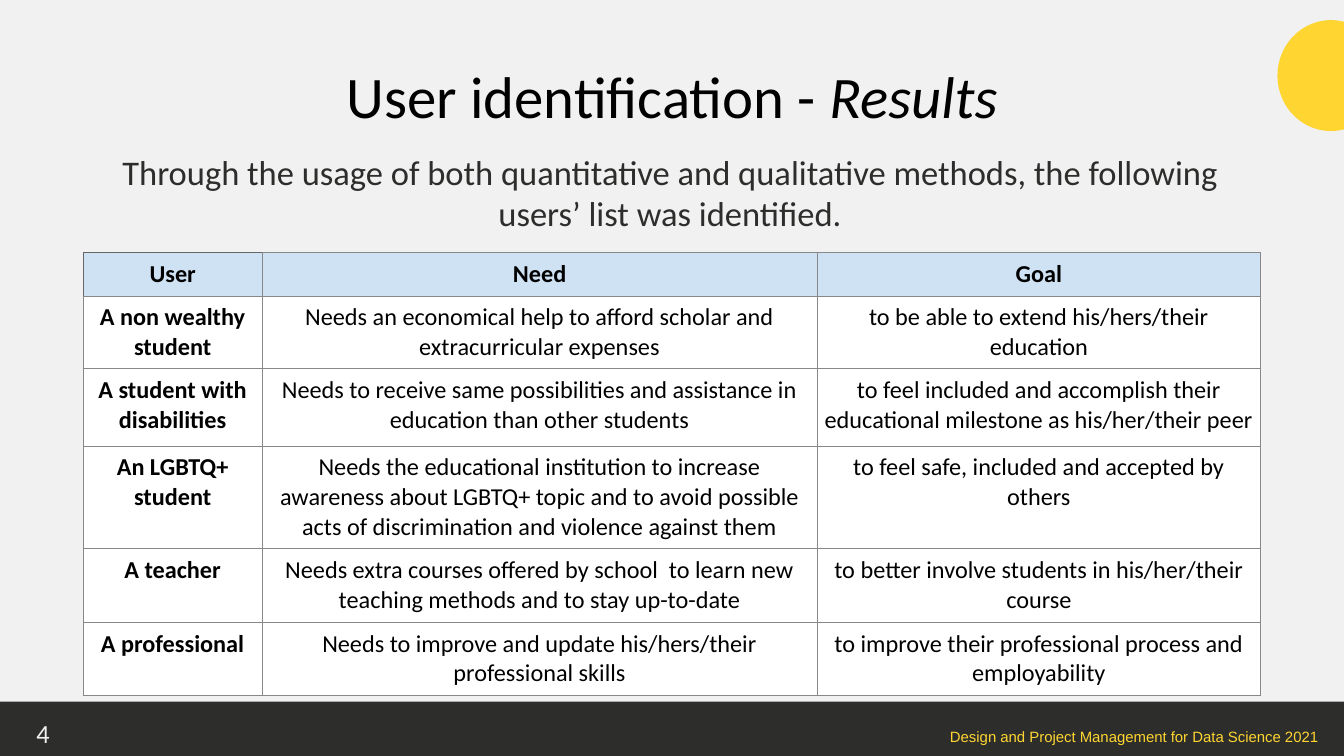
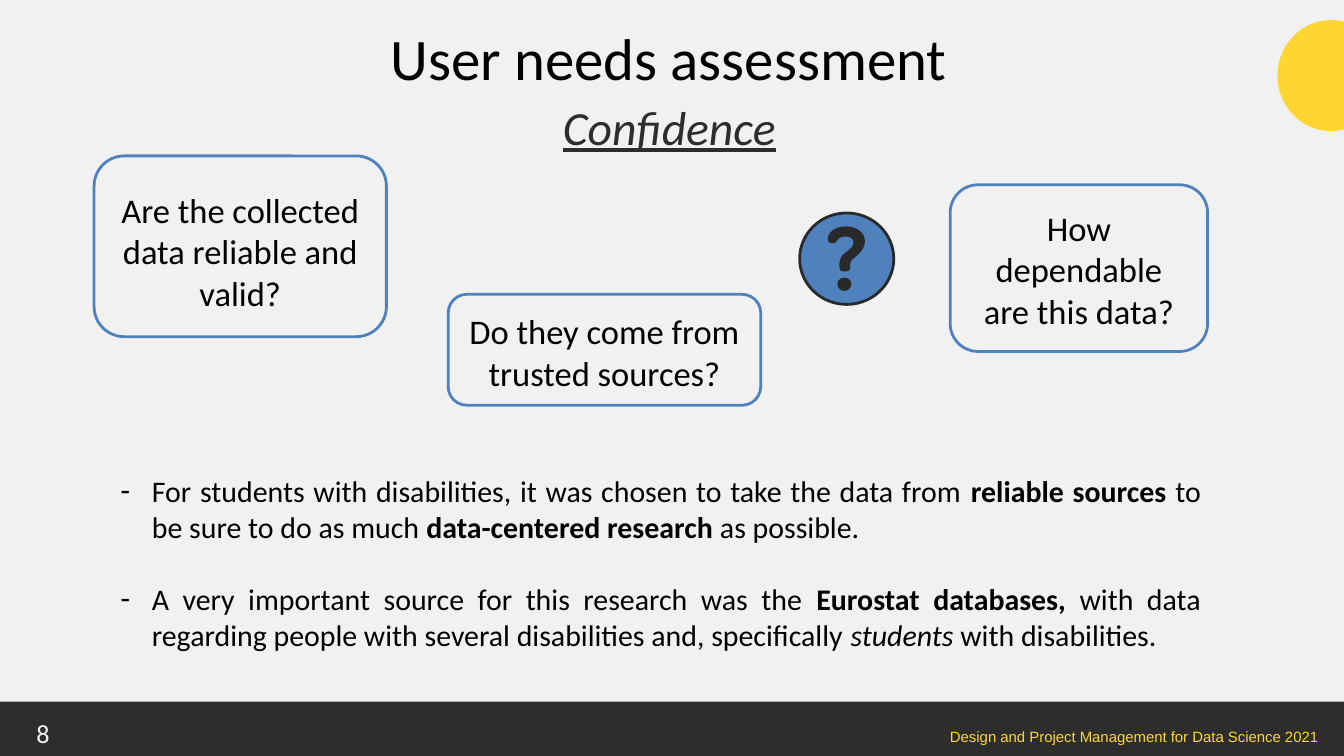
from lxml import etree
from pptx import Presentation
from pptx import util as u
from pptx.dml.color import RGBColor
from pptx.enum import shapes, text
from pptx.oxml import ns

# Shared look
PAPER = RGBColor(0xF1, 0xF1, 0xF1)
CHARCOAL = RGBColor(0x2D, 0x2E, 0x2C)
INK = RGBColor(0x29, 0x29, 0x29)
YELLOW = RGBColor(0xFE, 0xD5, 0x31)
BLUE = RGBColor(0x4F, 0x81, 0xBD)
PALE_BLUE = RGBColor(0xCF, 0xE2, 0xF3)
WHITE = RGBColor(0xFF, 0xFF, 0xFF)
BLACK = RGBColor(0, 0, 0)
GRAY = RGBColor(0x88, 0x88, 0x88)
DARK_GRAY = RGBColor(0x66, 0x66, 0x66)
SHAPE = shapes.MSO_SHAPE
ALIGN = text.PP_ALIGN
ANCHOR = text.MSO_ANCHOR

# The slide is a grid of 80 columns and 45 rows
COLUMNS, ROWS = 80, 45
STEP = u.Inches(0.25)

TITLE_SIZE = (70.24, 5.04)
FOOTER = "Design and Project Management for Data Science 2021"
HEADINGS = ("User", "Need", "Goal")
USERS = [
    ("A non wealthy student",
     "Needs an economical help to afford scholar and extracurricular expenses",
     "to be able to extend his/hers/their education"),
    ("A student with disabilities",
     "Needs to receive same possibilities and assistance in education than other students",
     "to feel included and accomplish their educational milestone as his/her/their peer"),
    ("An LGBTQ+ student",
     "Needs the educational institution to increase awareness about LGBTQ+ topic "
     "and to avoid possible acts of discrimination and violence against them",
     "to feel safe, included and accepted by others"),
    ("A teacher",
     "Needs extra courses offered by school  to learn new teaching methods and to stay up-to-date",
     "to better involve students in his/her/their course"),
    ("A professional",
     "Needs to improve and update his/hers/their professional skills",
     "to improve their professional process and employability"),
]
COLUMN_WIDTHS = (10.64, 33.04, 26.4)
ROW_HEIGHTS = (2.52, 4.28, 4.6, 6, 4.4, 4.28)

# Box, side inset, top inset (inches), question
QUESTIONS = [
    ((56.56, 11, 15.32, 9.92), 0.25, 0.21, "How dependable are this data?"),
    ((5.6, 9.28, 17.4, 10.76), 0.1, 0.36, "Are the collected data reliable and valid?"),
    ((26.68, 17.52, 18.6, 6.6), 0.1, 0.16, "Do they come from trusted sources?"),
]
FINDINGS = [
    [("For students with disabilities, it was chosen to take the data from ", ""),
     ("reliable sources", "bold"), (" to be sure to do as much ", ""),
     ("data-centered research", "bold"), (" as possible.", "")],
    [("A very important source for this research was the ", ""),
     ("Eurostat databases, ", "bold"),
     ("with data regarding people with several disabilities and, specifically ", ""),
     ("students", "italic"), (" with disabilities.", "")],
]

# Question mark in hundredths of an inch: start, then Bezier curves
MARK_START = (27, 0)
MARK_CURVES = [
    (8, 0, 0, 11, 0, 18), (0, 25, 5, 25, 8, 25), (15, 25, 12, 15, 26, 15),
    (33, 15, 38, 18, 38, 24), (38, 31, 31, 35, 26, 39), (22, 42, 17, 47, 17, 58),
    (17, 65, 19, 67, 25, 67), (31, 67, 33, 64, 33, 62), (33, 55, 33, 51, 40, 46),
    (44, 43, 55, 34, 55, 22), (55, 10, 44, 0, 27, 0),
]


def grid(*counts):
    return [u.Emu(round(count * STEP)) for count in counts]


def move(shape, box):
    shape.left, shape.top, shape.width, shape.height = grid(*box)


def setup_frame(frame, insets, anchor=ANCHOR.TOP):
    """Insets are inches: left, top, right, bottom."""
    frame.word_wrap = True
    frame.auto_size = text.MSO_AUTO_SIZE.NONE
    frame.vertical_anchor = anchor
    (frame.margin_left, frame.margin_top,
     frame.margin_right, frame.margin_bottom) = map(u.Inches, insets)


def set_bullet(para, sign=None, margin=0, indent=0):
    props = para._p.get_or_add_pPr()
    props.set("marL", str(u.Inches(margin)))
    props.set("indent", str(u.Inches(indent)))
    if sign:
        color = etree.SubElement(props, ns.qn("a:buClr"))
        etree.SubElement(color, ns.qn("a:srgbClr"), val=str(BLACK))
        etree.SubElement(props, ns.qn("a:buChar"), char=sign)
    else:
        etree.SubElement(props, ns.qn("a:buNone"))


def write(para, spans, size, color=BLACK, align=ALIGN.CENTER, font="Calibri"):
    """Spans are one string or pairs of words and style."""
    para.alignment = align
    para.space_before = u.Pt(0)
    para.font.name, para.font.size = font, u.Pt(size)
    para.font.color.rgb = color
    if isinstance(spans, str):
        spans = [(spans, "")]
    for words, style in spans:
        span = para.add_run()
        span.text = words
        if style:
            setattr(span.font, style, True)


def add_label(page, box, words, size, color, inset=0, anchor=ANCHOR.TOP, font="Calibri"):
    label = page.shapes.add_textbox(*grid(*box))
    setup_frame(label.text_frame, [inset] * 4, anchor)
    write(label.text_frame.paragraphs[0], words, size, color, ALIGN.RIGHT, font)
    return label


def add_plain(page, kind, box, fill=None, line=None):
    shape = page.shapes.add_shape(kind, *grid(*box))
    shape.shadow.inherit = False
    if fill is None:
        shape.fill.background()
    else:
        shape.fill.solid()
        shape.fill.fore_color.rgb = fill
    if line is None:
        shape.line.fill.background()
    else:
        shape.line.color.rgb = line
        shape.line.width = u.Pt(3)
    return shape


def decorate_master(deck, page):
    """Draw band, footer and sun once and hand them to the master."""
    deck.slide_master.background.fill.solid()
    deck.slide_master.background.fill.fore_color.rgb = PAPER
    band = add_plain(page, SHAPE.RECTANGLE, (0, 41.76, COLUMNS, ROWS - 41.76), CHARCOAL)
    footer = add_label(page, (33.16, 42.88, 45.32, 1.2), FOOTER, 16, YELLOW, font="Arial")
    footer.text_frame.paragraphs[0].line_spacing = 1.38
    sun = add_plain(page, SHAPE.OVAL, (76.04, 1.2, 6.36, 6.6), YELLOW)
    for part in (band, footer, sun):
        deck.slide_master.shapes.element.append(part.element)


def add_heading(page, left, top, spans):
    title = page.shapes.title
    move(title, (left, top, *TITLE_SIZE))
    setup_frame(title.text_frame, [0.1] * 4)
    write(title.text_frame.paragraphs[0], spans, 63)


def add_lead(page, box, spans, size, margin=0):
    lead = page.placeholders[1]
    move(lead, box)
    setup_frame(lead.text_frame, [0] * 4)
    para = lead.text_frame.paragraphs[0]
    set_bullet(para, margin=margin)
    write(para, spans, size, CHARCOAL)
    para.line_spacing = 0.99


def add_number(page, number):
    add_label(page, (1.92, 42.48, 1.24, 2.28), number, 28, PAPER, 0.05, ANCHOR.MIDDLE)


def outline_cell(cell, sides, color):
    props = cell._tc.get_or_add_tcPr()
    for order, side in enumerate(sides):
        edge = etree.Element(ns.qn(f"a:ln{side}"), w=str(u.Pt(0.75)))
        fill = etree.SubElement(edge, ns.qn("a:solidFill"))
        etree.SubElement(fill, ns.qn("a:srgbClr"), val=str(color))
        props.insert(order, edge)


def add_user_table(page, left, top):
    rows = [HEADINGS, *USERS]
    box = grid(left, top, sum(COLUMN_WIDTHS), sum(ROW_HEIGHTS))
    table = page.shapes.add_table(len(rows), len(HEADINGS), *box).table
    for column, width in zip(table.columns, grid(*COLUMN_WIDTHS)):
        column.width = width
    for row, height in zip(table.rows, grid(*ROW_HEIGHTS)):
        row.height = height
    for r, row in enumerate(rows):
        for c, words in enumerate(row):
            cell = table.cell(r, c)
            cell.margin_left = cell.margin_right = u.Inches(0.1)
            cell.margin_top = cell.margin_bottom = u.Inches(0.1)
            cell.fill.solid()
            cell.fill.fore_color.rgb = WHITE if r else PALE_BLUE
            outline_cell(cell, "LRTB", GRAY if r or c else DARK_GRAY)
            para = cell.text_frame.paragraphs[0]
            write(para, words, 26)
            para.font.bold = r == 0 or c == 0


def add_question(page, box, side, head, words):
    card = add_plain(page, SHAPE.ROUNDED_RECTANGLE, box, line=BLUE)
    setup_frame(card.text_frame, (side, head, side, 0))
    write(card.text_frame.paragraphs[0], words, 37)


def curve_points(start, curves, steps=8):
    for x1, y1, x2, y2, x3, y3 in curves:
        for step in range(1, steps + 1):
            t = step / steps
            s = 1 - t
            weights = (s ** 3, 3 * s * s * t, 3 * s * t * t, t ** 3)
            yield tuple(sum(w * v for w, v in zip(weights, axis))
                        for axis in ((start[0], x1, x2, x3), (start[1], y1, y2, y3)))
        start = (x3, y3)


def add_question_badge(page, box):
    """A ringed disc with a question mark; the disc is 140 units wide."""
    add_plain(page, SHAPE.OVAL, box, BLUE, INK)
    unit = box[2] / 140
    left, top = box[0] + 42 * unit, box[1] + 20 * unit

    def spot(point):
        return grid(left + point[0] * unit, top + point[1] * unit)

    builder = page.shapes.build_freeform(*spot(MARK_START))
    builder.add_line_segments([spot(p) for p in curve_points(MARK_START, MARK_CURVES)])
    hook = builder.convert_to_shape()
    hook.shadow.inherit = False
    hook.fill.solid()
    hook.fill.fore_color.rgb = INK
    hook.line.fill.background()
    add_plain(page, SHAPE.OVAL,
              (left + 14 * unit, top + 76 * unit, 21 * unit, 20 * unit), INK)


def add_findings(page, box):
    listing = page.placeholders[2]
    move(listing, box)
    frame = listing.text_frame
    setup_frame(frame, [0.1] * 4)
    for order, spans in enumerate(FINDINGS):
        para = frame.add_paragraph() if order else frame.paragraphs[0]
        set_bullet(para, "-", 0.5, -0.47)
        write(para, spans, 32, align=ALIGN.JUSTIFY)
        if order:
            para.space_before = u.Pt(39)


def build_results(page):
    add_heading(page, 4.88, 3.16, [("User identification - ", ""), ("Results", "italic")])
    add_lead(page, (3.76, 9.08, 70.24, 7.48),
             "Through the usage of both quantitative and qualitative methods, "
             "the following users’ list was identified.", 37, margin=0.5)
    add_user_table(page, 4.96, 15.04)
    add_number(page, "4")


def build_confidence(page):
    add_heading(page, 4.68, 0.92, "User needs assessment")
    add_lead(page, (33.28, 5.96, 13.12, 3.96), "Confidence", 51)
    font = page.placeholders[1].text_frame.paragraphs[0].font
    font.italic = font.underline = True
    add_findings(page, (6.64, 27.72, 65.24, 11.6))
    for question in QUESTIONS:
        add_question(page, *question)
    add_question_badge(page, (47.6, 12.68, 5.6, 5.44))
    add_number(page, "8")


def main():
    deck = Presentation()
    deck.slide_width, deck.slide_height = grid(COLUMNS, ROWS)
    results = deck.slides.add_slide(deck.slide_layouts.get_by_name("Title and Content"))
    decorate_master(deck, results)
    build_results(results)
    build_confidence(deck.slides.add_slide(deck.slide_layouts.get_by_name("Two Content")))
    deck.save("out.pptx")


if __name__ == "__main__":
    main()
